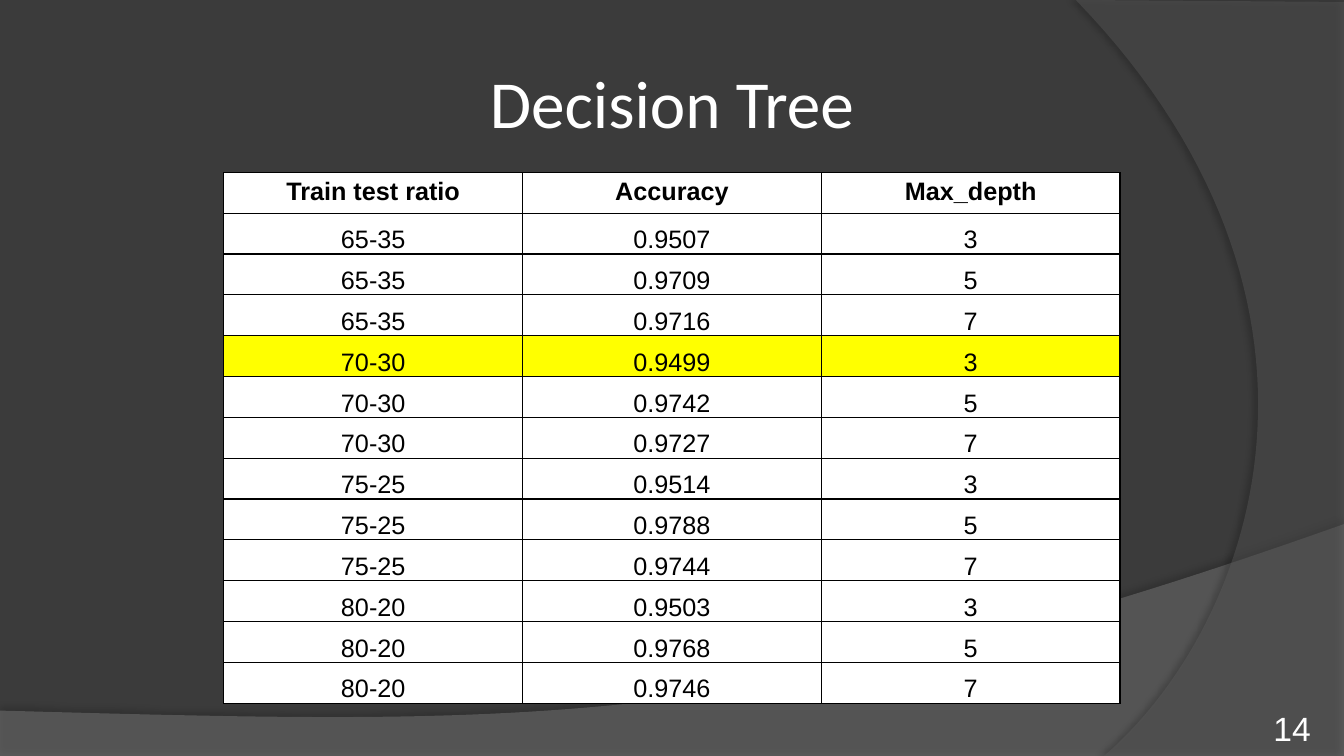
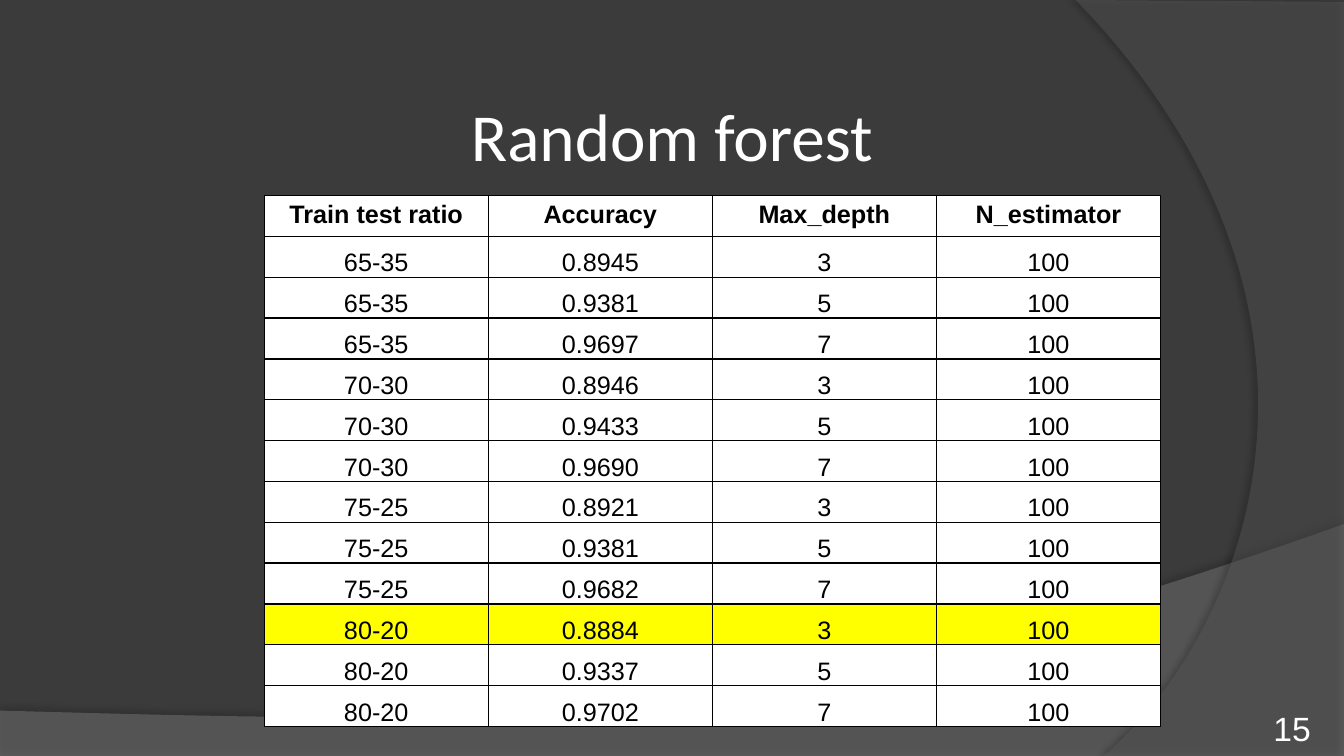
"""Build two slides that tabulate the accuracy of tree-based classifiers."""
import dataclasses
import itertools

import lxml.etree
import pptx
import pptx.dml.color
import pptx.enum.text
import pptx.oxml
import pptx.oxml.ns
import pptx.util

Inches = pptx.util.Inches
Color = pptx.dml.color.RGBColor
Align = pptx.enum.text.PP_ALIGN
Anchor = pptx.enum.text.MSO_ANCHOR
qn = pptx.oxml.ns.qn


@dataclasses.dataclass(frozen=True)
class Theme:
    """Colours, fonts and sizes shared by the slides."""
    background: Color = Color(0x3B, 0x3B, 0x3B)
    bottom_sweep: Color = Color(0x7F, 0x7F, 0x7F)
    right_sweep: Color = Color(0x5E, 0x5E, 0x5E)
    light: Color = Color(0xFF, 0xFF, 0xFF)
    dark: Color = Color(0, 0, 0)
    highlight: Color = Color(0xFF, 0xFF, 0)
    title_font: str = "Calibri"
    body_font: str = "Arial"
    title_size: int = pptx.util.Pt(48)
    table_size: int = pptx.util.Pt(18)
    number_size: int = pptx.util.Pt(24)
    border: int = pptx.util.Pt(1)


@dataclasses.dataclass(frozen=True)
class Box:
    """A rectangle in inches."""
    left: float
    top: float
    width: float
    height: float

    def lengths(self):
        """Return left, top, width and height as lengths."""
        return [Inches(side) for side in dataclasses.astuple(self)]


THEME = Theme()
SLIDE = Box(0, 0, 13.33, 7.5)
RATIOS = ("65-35", "70-30", "75-25", "80-20")
DEPTHS = ("3", "5", "7")
HEADINGS = ("Train test ratio", "Accuracy", "Max_depth")

SWEEPS = (
    {"box": Box(0, 5.2, 13.33, 2.3), "color": THEME.bottom_sweep, "opacity": 45,
     "corners": [(0, 1.85), (0, 2.3), (13.33, 2.3)],
     "curve": [(13.33, 0), (7.45, 2.09), (5.21, 1.99), (0, 1.85)],
     "shadow": {"opacity": 35, "blur": 4, "distance": 3.5, "angle": 270}},
    {"box": Box(10.67, 0, 2.67, 7.5), "color": THEME.right_sweep, "opacity": 40,
     "corners": [(2.67, 0.02), (2.67, 7.5)],
     "curve": [(0.28, 7.5), (1.79, 6.19), (2.9, 3), (0, 0)],
     "shadow": {"opacity": 45, "blur": 4, "distance": 4, "angle": 180}},
)

RESULTS = (
    {"title": "Decision Tree", "number": "14", "title_top": 0.56,
     "box": Box(2.22, 1.71, 8.89, 5.27), "best_row": 4, "extra": {},
     "accuracies": ("0.9507", "0.9709", "0.9716", "0.9499", "0.9742", "0.9727",
                    "0.9514", "0.9788", "0.9744", "0.9503", "0.9768", "0.9746")},
    {"title": "Random forest", "number": "15", "title_top": 0.89,
     "box": Box(2.62, 1.94, 8.89, 5.27), "best_row": 10,
     "extra": {"N_estimator": "100"},
     "accuracies": ("0.8945", "0.9381", "0.9697", "0.8946", "0.9433", "0.9690",
                    "0.8921", "0.9381", "0.9682", "0.8884", "0.9337", "0.9702")},
)


def apply_format(target, values):
    """Set each attribute of the target from a dict of values."""
    for name, value in values.items():
        setattr(target, name, value)


def write_text(frame, text, align, color, font):
    """Write one formatted paragraph into a text frame."""
    para = frame.paragraphs[0]
    para.alignment = align
    span = para.add_run()
    span.text = text
    apply_format(span.font, font)
    span.font.color.rgb = color


def bezier(curve, steps=60):
    """Return points along a cubic curve."""
    points = []
    for step in range(steps + 1):
        t = step / steps
        weights = ((1 - t) ** 3, 3 * t * (1 - t) ** 2, 3 * t * t * (1 - t), t ** 3)
        points.append(tuple(sum(weight * point[axis] for weight, point in zip(weights, curve))
                            for axis in (0, 1)))
    return points


def add_opacity(color_node, percent):
    """Give a colour node an alpha value."""
    lxml.etree.SubElement(color_node, qn("a:alpha"), val=str(percent * 1000))


def add_shadow(shape, opacity, blur, distance, angle):
    """Give a shape an outer shadow."""
    shape.shadow.inherit = False
    effects = shape.element.spPr.find(qn("a:effectLst"))
    shadow = lxml.etree.SubElement(
        effects, qn("a:outerShdw"), blurRad=str(pptx.util.Pt(blur)),
        dist=str(pptx.util.Pt(distance)), dir=str(angle * 60000),
        algn="ctr", rotWithShape="0")
    add_opacity(lxml.etree.SubElement(shadow, qn("a:srgbClr"), val=str(THEME.dark)), opacity)


def add_sweep(page, box, color, opacity, corners, curve, shadow):
    """Draw one translucent curved band inside its box."""
    points = [(Inches(box.left + x), Inches(box.top + y))
              for x, y in corners + bezier(curve)]
    builder = page.shapes.build_freeform(*points[0])
    builder.add_line_segments(points[1:], close=True)
    sweep = builder.convert_to_shape()
    sweep.fill.solid()
    sweep.fill.fore_color.rgb = color
    add_opacity(sweep.element.spPr.find(qn("a:solidFill"))[0], opacity)
    sweep.line.fill.background()
    add_shadow(sweep, **shadow)
    return sweep


def dress_master(deck, page):
    """Put the background and the curved bands on the master."""
    master = deck.slide_master
    master.background.fill.solid()
    master.background.fill.fore_color.rgb = THEME.background
    for place, sweep in enumerate(SWEEPS, start=2):
        master.shapes.element.insert(place, add_sweep(page, **sweep).element)


def place_title(page, text, box):
    """Place and format the title placeholder."""
    title = page.shapes.title
    apply_format(title, dict(zip(("left", "top", "width", "height"), box.lengths())))
    apply_format(title.text_frame, {
        "word_wrap": True, "vertical_anchor": Anchor.TOP,
        "auto_size": pptx.enum.text.MSO_AUTO_SIZE.SHAPE_TO_FIT_TEXT})
    write_text(title.text_frame, text, Align.CENTER, THEME.light,
               {"name": THEME.title_font, "size": THEME.title_size})


def place_number(page, text, box):
    """Place the page number at the bottom right of its box."""
    frame = page.shapes.add_textbox(*box.lengths()).text_frame
    apply_format(frame, {
        "word_wrap": True, "vertical_anchor": Anchor.BOTTOM, "margin_left": 0,
        "margin_right": 0, "margin_top": 0, "margin_bottom": 0})
    write_text(frame, text, Align.RIGHT, THEME.light,
               {"name": THEME.body_font, "size": THEME.number_size})


def add_borders(cell):
    """Draw a solid line on each side of a cell."""
    properties = cell._tc.get_or_add_tcPr()
    for place, side in enumerate(("a:lnL", "a:lnR", "a:lnT", "a:lnB")):
        line = properties.makeelement(qn(side), {"w": str(THEME.border)})
        fill = lxml.etree.SubElement(line, qn("a:solidFill"))
        lxml.etree.SubElement(fill, qn("a:srgbClr"), val=str(THEME.dark))
        properties.insert(place, line)


def fill_cell(cell, text, fill, heading):
    """Write and format one table cell."""
    if not heading:
        edge = Inches(0.01)
        apply_format(cell, {
            "vertical_anchor": Anchor.BOTTOM, "margin_left": edge,
            "margin_right": edge, "margin_top": edge, "margin_bottom": 0})
    cell.fill.solid()
    cell.fill.fore_color.rgb = fill
    add_borders(cell)
    write_text(cell.text_frame, text, Align.CENTER, THEME.dark,
               {"name": THEME.body_font, "size": THEME.table_size, "bold": heading})


def place_table(page, rows, best_row, box):
    """Fill the box with an even grid and highlight one row."""
    table = page.shapes.add_table(len(rows), len(rows[0]), *box.lengths()).table
    table.horz_banding = False
    for row_index, row in enumerate(rows):
        fill = THEME.highlight if row_index == best_row else THEME.light
        for column_index, text in enumerate(row):
            fill_cell(table.cell(row_index, column_index), text, fill, row_index == 0)


def result_rows(accuracies, extra):
    """Combine ratios, depths and accuracies into table rows."""
    rows = [(*HEADINGS, *extra)]
    for (ratio, depth), accuracy in zip(itertools.product(RATIOS, DEPTHS), accuracies):
        rows.append((ratio, accuracy, depth, *extra.values()))
    return rows


def build_result(page, title, number, title_top, box, best_row, extra, accuracies):
    """Build one slide of results."""
    place_title(page, title, Box(SLIDE.left, title_top, SLIDE.width, 0.91))
    place_table(page, result_rows(accuracies, extra), best_row, box)
    place_number(page, number, Box(SLIDE.width - 1.44, SLIDE.height - 0.48, 1.11, 0.4))


def main():
    """Build and save the deck."""
    deck = pptx.Presentation()
    apply_format(deck, {"slide_width": Inches(SLIDE.width),
                        "slide_height": Inches(SLIDE.height)})
    layout = deck.slide_layouts.get_by_name("Title Only")
    pages = [deck.slides.add_slide(layout) for _ in RESULTS]
    dress_master(deck, pages[0])
    for page, result in zip(pages, RESULTS):
        build_result(page, **result)
    deck.save("out.pptx")


if __name__ == "__main__":
    main()
